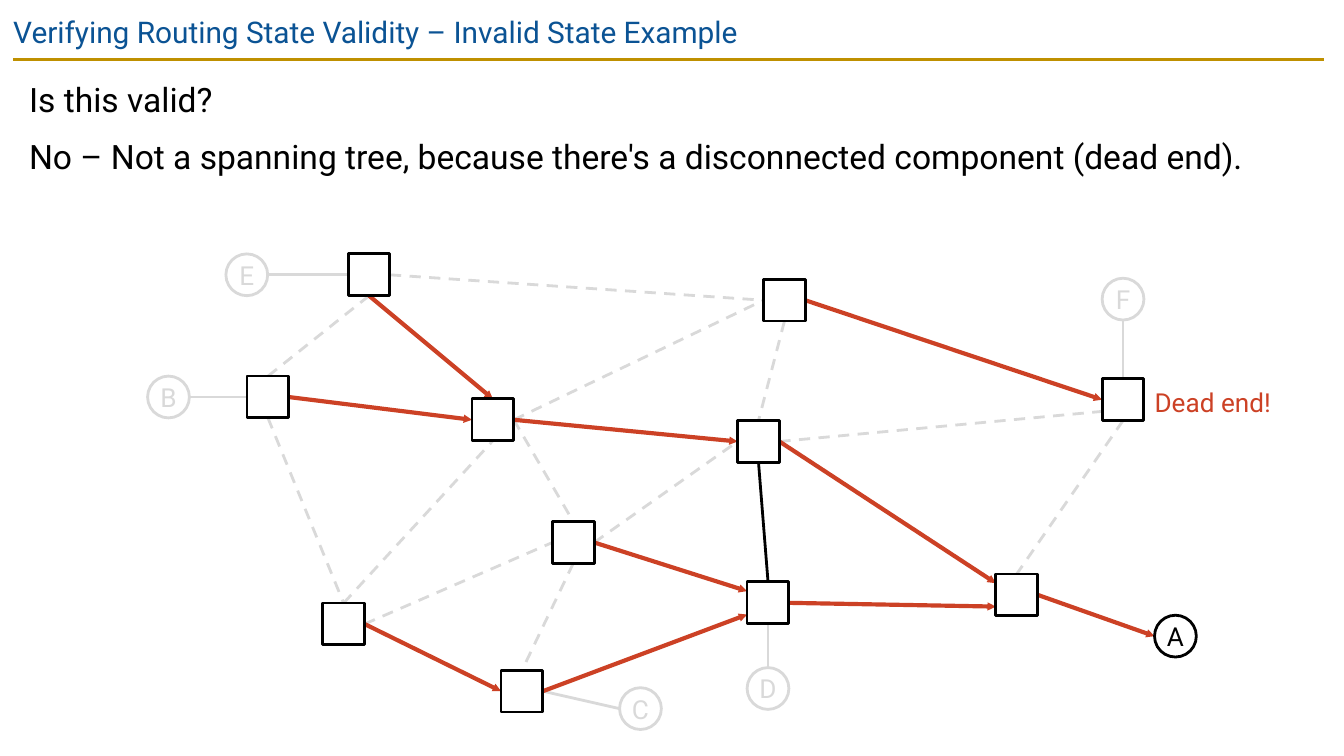
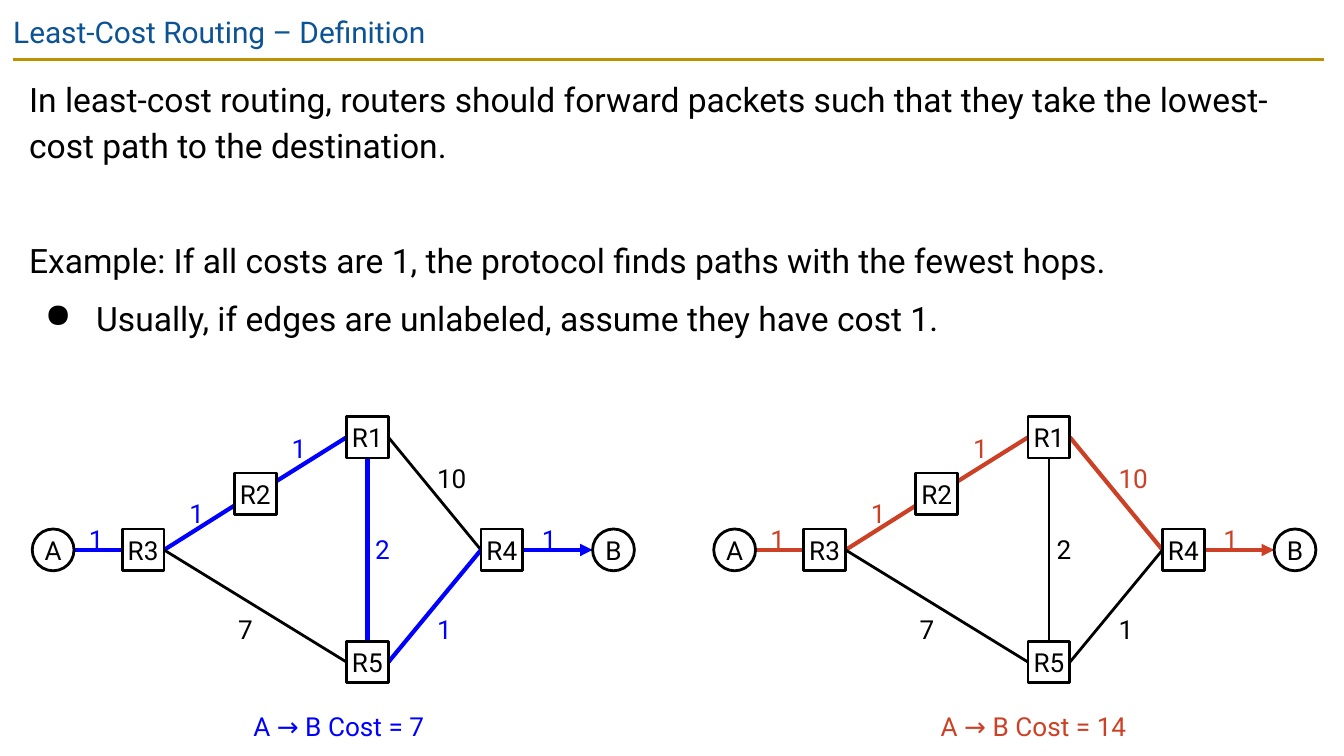
import pptx
import pptx.dml.color
import pptx.enum.dml
import pptx.enum.shapes
import pptx.enum.text
import pptx.oxml
import pptx.oxml.ns
import pptx.util
from pptx.util import Cm

FONT = "Roboto"
BLACK, WHITE, GREY = "000000", "FFFFFF", "D9D9D9"
RED, BLUE, TITLE_BLUE, GOLD = "CC4125", "0000FF", "0B5394", "BF9000"
THIN, THICK = 1.5, 2.25
NODE = 0.79
LABEL_HEIGHT = 0.61
SIDES = {"left": (0, 0.5), "right": (1, 0.5), "top": (0.5, 0), "bottom": (0.5, 1),
         "left high": (0, 0.22), "left low": (0, 0.78), "right high": (1, 0.2)}

ROUTERS = {
    "hub": (8.92, 7.54), "west": (6.1, 11.4), "middle": (10.44, 9.86),
    "north": (14.43, 5.28), "center": (13.94, 7.95), "near E": (6.58, 4.8),
    "near B": (4.67, 7.11), "near C": (9.47, 12.67), "near F": (20.83, 7.16),
    "near D": (14.12, 11), "near A": (18.82, 10.85),
}
HOSTS = {"A": (21.82, 11.63), "B": (2.79, 7.11), "C": (11.71, 13),
         "D": (14.12, 12.62), "E": (4.27, 4.8), "F": (20.83, 5.26)}
UNUSED_LINKS = [
    ("near E", "bottom", "near B", "top"),
    ("near B", "bottom", "west", "top"),
    ("north", "bottom", "center", "top"),
    ("middle", "bottom", "near C", "top"),
    ("west", "right", "middle", "left"),
    ("west", "top", "hub", "bottom"),
    ("middle", "right", "center", "left"),
    ("center", "right", "near F", "left low"),
    ("near E", "right", "north", "left"),
    ("hub", "right", "north", "left"),
    ("hub", "right", "middle", "top"),
    ("near F", "bottom", "near A", "top"),
]
HOST_LINKS = [
    ("near F", "top", "F", "bottom"),
    ("E", "right", "near E", "left"),
    ("B", "right", "near B", "left"),
    ("near D", "bottom", "D", "top"),
    ("near C", "right", "C", "left"),
]
NEXT_HOPS = [
    ("near E", "bottom", "hub", "top"),
    ("near B", "right", "hub", "left"),
    ("hub", "right", "center", "left"),
    ("center", "right", "near A", "left high"),
    ("north", "right", "near F", "left"),
    ("west", "right", "near C", "left"),
    ("middle", "right", "near D", "left high"),
    ("near C", "right", "near D", "left low"),
    ("near D", "right", "near A", "left low"),
    ("near A", "right", "A", "left"),
]

COST_NODES = {"A": (0.61, 10), "R3": (2.31, 10), "R2": (4.43, 8.94), "R1": (6.55, 7.87),
              "R5": (6.55, 12.12), "R4": (9.09, 10), "B": (11.2, 10)}
COST_LINKS = [
    ("A", "right", "R3", "left", "1", 1.68, 9.8),
    ("R3", "right", "R2", "left low", "1", 3.58, 9.32),
    ("R2", "right high", "R1", "left", "1", 5.51, 8.08),
    ("R3", "right", "R5", "left", "7", 4.5, 11.51),
    ("R1", "bottom", "R5", "top", "2", 7.09, 10),
    ("R1", "right", "R4", "left", "10", 8.26, 8.66),
    ("R5", "right", "R4", "left", "1", 8.26, 11.51),
    ("R4", "right", "B", "left", "1", 10.24, 9.8),
]


def rgb(value):
    """Return the colour for a hex string."""
    return pptx.dml.color.RGBColor.from_string(value)


def format_runs(paragraph, size, color):
    """Set font, size and colour on each run of a paragraph."""
    for run in paragraph.runs:
        run.font.name = FONT
        run.font.size = pptx.util.Pt(size)
        run.font.color.rgb = rgb(color)


def set_margins(text_frame, margin):
    """Give a text frame equal insets."""
    text_frame.margin_left = text_frame.margin_right = Cm(margin)
    text_frame.margin_top = text_frame.margin_bottom = Cm(margin)


def add_line(slide, start, end, color, width, dashed=False, arrow=None):
    """Draw a straight line, optionally dashed or with an arrowhead of a given size."""
    connector = slide.shapes.add_connector(
        pptx.enum.shapes.MSO_CONNECTOR.STRAIGHT,
        Cm(start[0]), Cm(start[1]), Cm(end[0]), Cm(end[1]))
    connector.line.color.rgb = rgb(color)
    connector.line.width = pptx.util.Pt(width)
    if dashed:
        connector.line.dash_style = pptx.enum.dml.MSO_LINE.DASH
    if arrow:
        connector.line._get_or_add_ln().append(pptx.oxml.parse_xml(
            f'<a:tailEnd {pptx.oxml.ns.nsdecls("a")} type="triangle" w="{arrow}" len="{arrow}"/>'))
    connector._element.spPr.append(
        pptx.oxml.parse_xml(f'<a:effectLst {pptx.oxml.ns.nsdecls("a")}/>'))


def add_link(slide, nodes, link, color, width, **style):
    """Join the given sides of two nodes."""
    ends = []
    for name, side in (link[:2], link[2:4]):
        left, top = nodes[name]
        across, down = SIDES[side]
        ends.append((left + across * NODE, top + down * NODE))
    add_line(slide, *ends, color, width, **style)


def add_node(slide, position, text="", color=BLACK, is_host=False):
    """Add a square router or a round host."""
    kinds = pptx.enum.shapes.MSO_SHAPE
    shape = slide.shapes.add_shape(kinds.OVAL if is_host else kinds.RECTANGLE,
                                   Cm(position[0]), Cm(position[1]), Cm(NODE), Cm(NODE))
    shape.shadow.inherit = False
    shape.fill.solid()
    shape.fill.fore_color.rgb = rgb(WHITE)
    shape.line.color.rgb = rgb(color)
    shape.line.width = pptx.util.Pt(THIN)
    if text:
        text_frame = shape.text_frame
        set_margins(text_frame, 0)
        text_frame.word_wrap = True
        text_frame.vertical_anchor = pptx.enum.text.MSO_ANCHOR.MIDDLE
        text_frame.text = text
        paragraph = text_frame.paragraphs[0]
        paragraph.alignment = pptx.enum.text.PP_ALIGN.CENTER
        format_runs(paragraph, 14, color)


def add_label(slide, text, left, top, width, color, centered=False):
    """Add a small text without insets."""
    box = slide.shapes.add_textbox(Cm(left), Cm(top), Cm(width), Cm(LABEL_HEIGHT))
    text_frame = box.text_frame
    set_margins(text_frame, 0)
    text_frame.word_wrap = True
    text_frame.auto_size = pptx.enum.text.MSO_AUTO_SIZE.SHAPE_TO_FIT_TEXT
    text_frame.text = text
    paragraph = text_frame.paragraphs[0]
    paragraph.line_spacing = 1.15
    if centered:
        paragraph.alignment = pptx.enum.text.PP_ALIGN.CENTER
    format_runs(paragraph, 14, color)


def add_bullet(paragraph):
    """Turn a paragraph into a bullet item."""
    properties = paragraph._p.get_or_add_pPr()
    properties.set("marL", str(Cm(1.27)))
    properties.set("indent", str(Cm(-0.97)))
    namespace = pptx.oxml.ns.nsdecls("a")
    properties.append(pptx.oxml.parse_xml(
        f'<a:buClr {namespace}><a:srgbClr val="{BLACK}"/></a:buClr>'))
    properties.append(pptx.oxml.parse_xml(f'<a:buChar {namespace} char="●"/>'))


def add_body(slide, height, items):
    """Add the body text from items of text, space before and bullet flag."""
    box = slide.shapes.add_textbox(Cm(0.3), Cm(1.12), Cm(24.74), Cm(height))
    text_frame = box.text_frame
    text_frame.word_wrap = True
    set_margins(text_frame, 0.25)
    for index, (text, space_before, bulleted) in enumerate(items):
        paragraph = text_frame.add_paragraph() if index else text_frame.paragraphs[0]
        paragraph.text = text
        if bulleted:
            add_bullet(paragraph)
        paragraph.line_spacing = 1.15
        paragraph.space_before = pptx.util.Pt(space_before)
        format_runs(paragraph, 18, BLACK)


def add_titled_slide(presentation, title):
    """Add a slide with the shared title and gold rule."""
    slide = presentation.slides.add_slide(presentation.slide_layouts[5])
    add_line(slide, (0.25, 1.12), (25.02, 1.12), GOLD, THIN)
    shape = slide.shapes.title
    shape.left, shape.top, shape.width, shape.height = Cm(0), Cm(0), Cm(25.4), Cm(1.09)
    text_frame = shape.text_frame
    set_margins(text_frame, 0.25)
    text_frame.auto_size = pptx.enum.text.MSO_AUTO_SIZE.NONE
    text_frame.vertical_anchor = pptx.enum.text.MSO_ANCHOR.TOP
    text_frame.text = title
    paragraph = text_frame.paragraphs[0]
    paragraph.alignment = pptx.enum.text.PP_ALIGN.LEFT
    format_runs(paragraph, 16, TITLE_BLUE)
    return slide


def add_cost_network(slide, offset, path, color, total, total_left):
    """Draw the weighted network with one path from A to B highlighted."""
    nodes = {name: (left + offset, top) for name, (left, top) in COST_NODES.items()}
    hops = {frozenset(hop) for hop in zip(path, path[1:])}
    for link in COST_LINKS:
        start, _, end, _, cost, left, top = link
        used = frozenset((start, end)) in hops
        link_color = color if used else BLACK
        add_link(slide, nodes, link, link_color, THICK if used else THIN,
                 arrow="med" if end == "B" else None)
        add_label(slide, cost, left + offset, top, 0.38 if len(cost) == 1 else 0.66, link_color)
    for name, position in nodes.items():
        add_node(slide, position, name, is_host=name in ("A", "B"))
    add_label(slide, f"A → B Cost = {total}", total_left, 13.34, 3.91, color, centered=True)


def build_invalid_state(presentation):
    """Build the slide with the dead end."""
    slide = add_titled_slide(presentation,
                             "Verifying Routing State Validity – Invalid State Example")
    add_body(slide, 2.87, [
        ("Is this valid?", 0, False),
        ("No – Not a spanning tree, because there's a disconnected component (dead end).",
         6, False),
    ])
    nodes = {**ROUTERS, **HOSTS}
    for link in UNUSED_LINKS:
        add_link(slide, nodes, link, GREY, THIN, dashed=True)
    for link in HOST_LINKS:
        add_link(slide, nodes, link, GREY, THIN)
    add_link(slide, nodes, ("center", "bottom", "near D", "top"), BLACK, THIN)
    for link in NEXT_HOPS:
        add_link(slide, nodes, link, RED, THICK, arrow="sm")
    for name, position in HOSTS.items():
        add_node(slide, position, name, BLACK if name == "A" else GREY, is_host=True)
    for position in ROUTERS.values():
        add_node(slide, position)
    add_label(slide, "Dead end!", 21.82, 7.21, 2.36, RED)


def build_least_cost(presentation):
    """Build the slide that defines least-cost routing."""
    slide = add_titled_slide(presentation, "Least-Cost Routing – Definition")
    add_body(slide, 6.02, [
        ("In least-cost routing, routers should forward packets such that they take the "
         "lowest-cost path to the destination.", 0, False),
        ("Example: If all costs are 1, the protocol finds paths with the fewest hops.",
         37, False),
        ("Usually, if edges are unlabeled, assume they have cost 1.", 6, True),
    ])
    add_cost_network(slide, 0, ["A", "R3", "R2", "R1", "R5", "R4", "B"], BLUE, 7, 4.45)
    add_cost_network(slide, 12.88, ["A", "R3", "R2", "R1", "R4", "B"], RED, 14, 17.58)


def main():
    """Build and save the presentation."""
    presentation = pptx.Presentation()
    presentation.slide_width, presentation.slide_height = Cm(25.4), Cm(14.29)
    build_invalid_state(presentation)
    build_least_cost(presentation)
    presentation.save("out.pptx")


if __name__ == "__main__":
    main()
